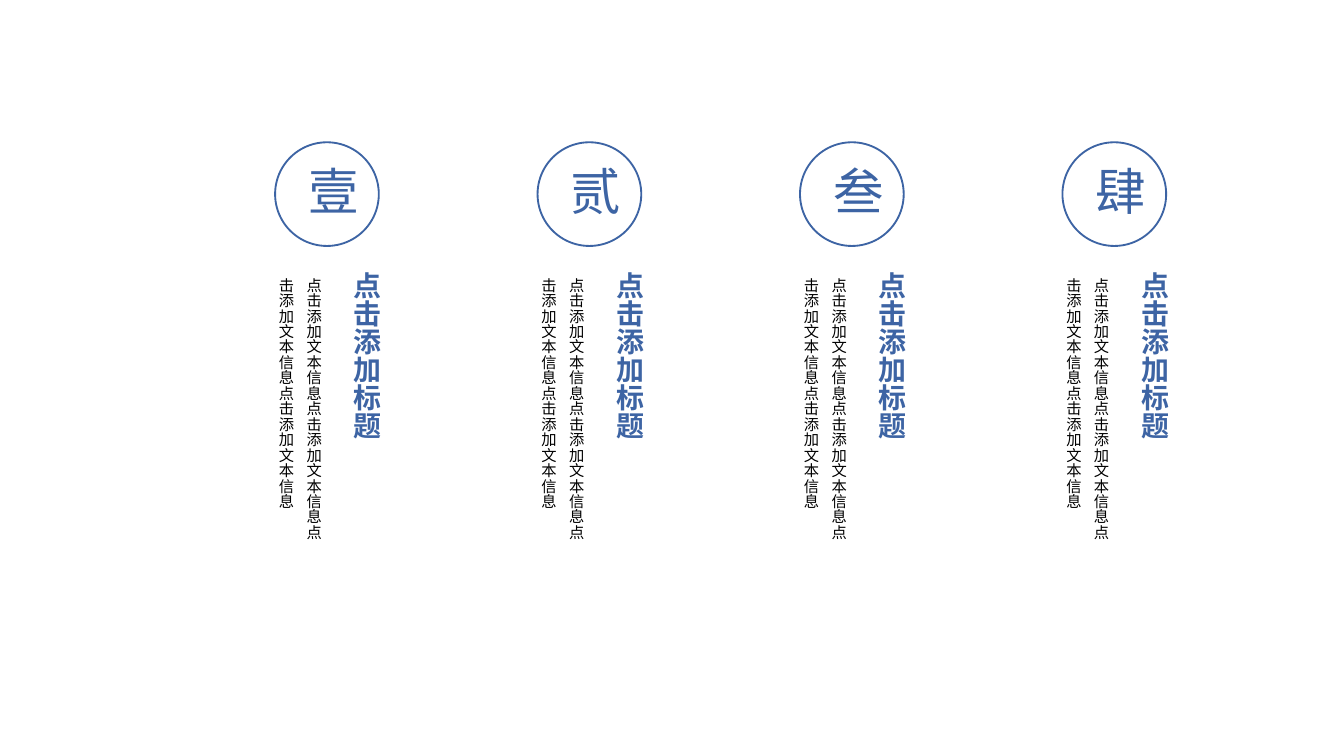
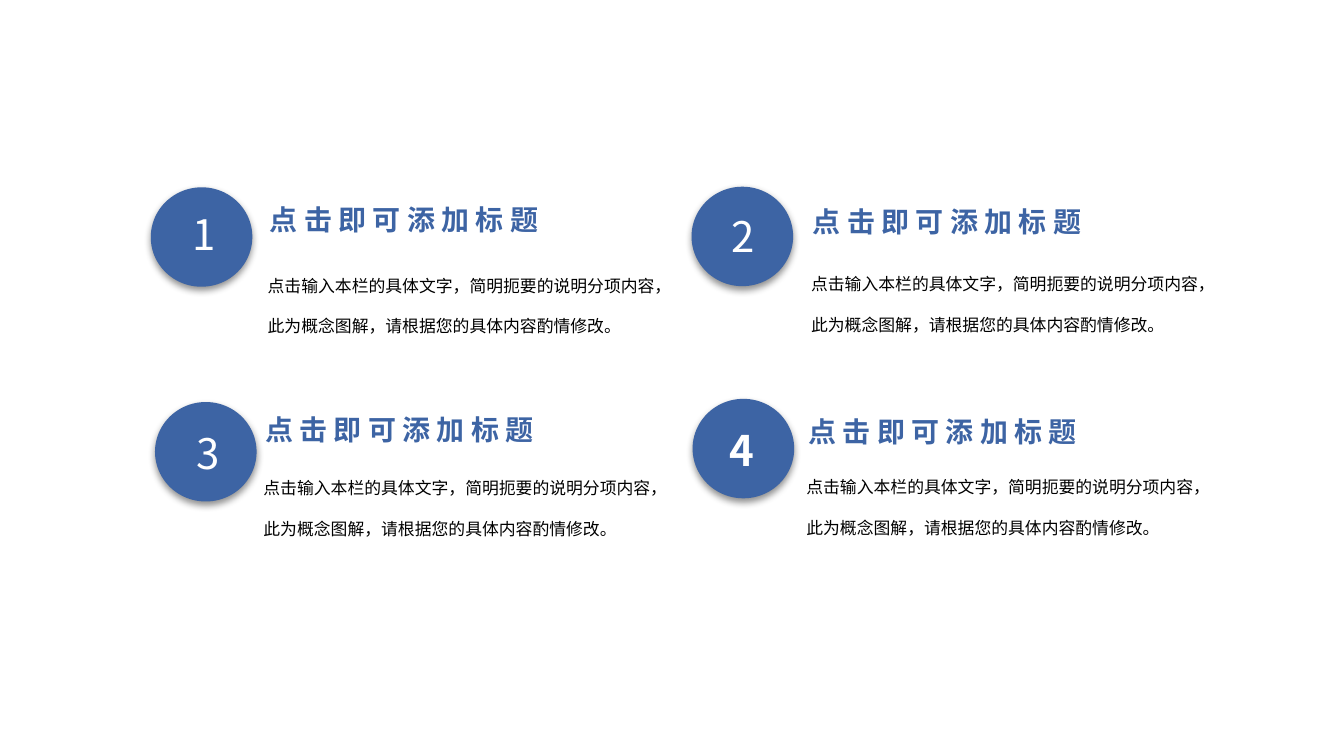
import pptx
import pptx.dml.color
import pptx.enum.shapes
import pptx.enum.text
import pptx.oxml
import pptx.oxml.ns
import pptx.util

Cm = pptx.util.Cm
Pt = pptx.util.Pt

COLOURS = {"blue": "3D64A4", "black": "000000", "white": "FFFFFF"}
FONT = "Noto Sans CJK SC"
SHADOW = (
    '<a:effectLst xmlns:a="http://schemas.openxmlformats.org/drawingml/2006/main">'
    '<a:outerShdw blurRad="50800" dist="25400" dir="5400000" algn="t" rotWithShape="0">'
    '<a:srgbClr val="000000"><a:alpha val="43000"/></a:srgbClr>'
    "</a:outerShdw></a:effectLst>"
)


class SlideBuilder:
    """Hold the shared style and add elements to the current slide."""

    def __init__(self, presentation):
        self.presentation = presentation
        self.slide = None

    def new_slide(self):
        layout = self.presentation.slide_layouts[6]
        self.slide = self.presentation.slides.add_slide(layout)

    def colour(self, name):
        return pptx.dml.color.RGBColor.from_string(COLOURS[name])

    def text(self, words, box, size, colour="black", bold=False, insets=(0.13, 0.25),
             vertical=False, grow=False, wrap=True, centre=False, middle=False,
             line_spacing=None, tracking=None):
        shape = self.slide.shapes.add_textbox(*map(Cm, box))
        frame = shape.text_frame
        frame.text = words
        frame.word_wrap = wrap
        frame.margin_left = frame.margin_right = Cm(insets[0])
        frame.margin_top = frame.margin_bottom = Cm(insets[1])
        if grow:
            frame.auto_size = pptx.enum.text.MSO_AUTO_SIZE.SHAPE_TO_FIT_TEXT
        if middle:
            frame.vertical_anchor = pptx.enum.text.MSO_ANCHOR.MIDDLE
        if vertical:
            shape.element.txBody.bodyPr.set("vert", "eaVert")
        paragraph = frame.paragraphs[0]
        if centre:
            paragraph.alignment = pptx.enum.text.PP_ALIGN.CENTER
        if line_spacing:
            paragraph.line_spacing = line_spacing
        run = paragraph.runs[0]
        run.font.size = Pt(size)
        run.font.bold = bold
        run.font.name = FONT
        run.font.color.rgb = self.colour(colour)
        properties = run.font._element
        east_asian = pptx.oxml.parse_xml(
            '<a:ea xmlns:a="http://schemas.openxmlformats.org/drawingml/2006/main" '
            f'typeface="{FONT}"/>')
        properties.find(pptx.oxml.ns.qn("a:latin")).addnext(east_asian)
        if tracking:
            properties.set("spc", str(tracking * 100))

    def circle(self, box, filled=False, rotation=0):
        shape = self.slide.shapes.add_shape(
            pptx.enum.shapes.MSO_SHAPE.OVAL, *map(Cm, box))
        shape.shadow.inherit = False
        shape.rotation = rotation
        if filled:
            shape.fill.solid()
            shape.fill.fore_color.rgb = self.colour("blue")
            shape.line.fill.background()
            properties = shape.element.spPr
            properties.remove(properties.find(pptx.oxml.ns.qn("a:effectLst")))
            properties.append(pptx.oxml.parse_xml(SHADOW))
        else:
            shape.fill.background()
            shape.line.color.rgb = self.colour("blue")
            shape.line.width = Pt(1)


def build_columns(builder):
    builder.new_slide()
    for index, numeral in enumerate("壹贰叁肆"):
        left = 5.2 + index * 4.96
        builder.text("点击添加标题", (left + 1.04, 4.89, 1.14, 4.98), 15, "blue",
                     bold=True, vertical=True, grow=True)
        builder.text("点击添加文本信息" * 4, (left - 0.36, 5, 1.57, 5.49), 8.25,
                     vertical=True, grow=True, line_spacing=1.5)
        builder.text(numeral, (left + 0.33, 2.92, 1.55, 1.35), 27, "blue",
                     insets=(0.18, 0.1), grow=True, wrap=False, centre=True, tracking=6)
        builder.circle((left, 2.69, 1.96, 1.96))


def build_numbered_items(builder):
    builder.new_slide()
    body = "点击输入本栏的具体文字，简明扼要的说明分项内容，此为概念图解，请根据您的具体内容酌情修改。"
    insets = (0, 0.13)
    items = [
        ((5.1, 3.69, 7.98, 0.79), (5.06, 4.81, 7.54, 1.55), (2.85, 3.54), (3.64, 3.82), 356.6),
        ((15.36, 3.73, 7.98, 0.79), (15.33, 4.83, 7.54, 1.47), (13.07, 3.53), (13.82, 3.85), 0),
        ((5.01, 7.67, 6.5, 0.79), (4.98, 8.77, 7.87, 1.3), (2.93, 7.6), (3.71, 7.95), 0),
        ((15.28, 7.7, 7.98, 0.79), (15.24, 8.8, 7.54, 1.19), (13.09, 7.54), (13.79, 7.9), 0),
    ]
    for number, (heading_box, body_box, circle_at, digit_at, rotation) in enumerate(items, 1):
        builder.text("点 击 即 可 添 加 标 题", heading_box, 15, "blue",
                     bold=True, insets=insets)
        builder.text(body, body_box, 9, insets=insets, middle=True, line_spacing=2.0)
        builder.circle((*circle_at, 1.92, 1.88), filled=True, rotation=rotation)
        builder.text(str(number), (*digit_at, 0.89, 1.65), 22.5, "white",
                     bold=number == len(items), insets=insets)


def main():
    presentation = pptx.Presentation()
    presentation.slide_width = Cm(25.4)
    presentation.slide_height = Cm(14.29)
    builder = SlideBuilder(presentation)
    build_columns(builder)
    build_numbered_items(builder)
    presentation.save("out.pptx")


if __name__ == "__main__":
    main()
